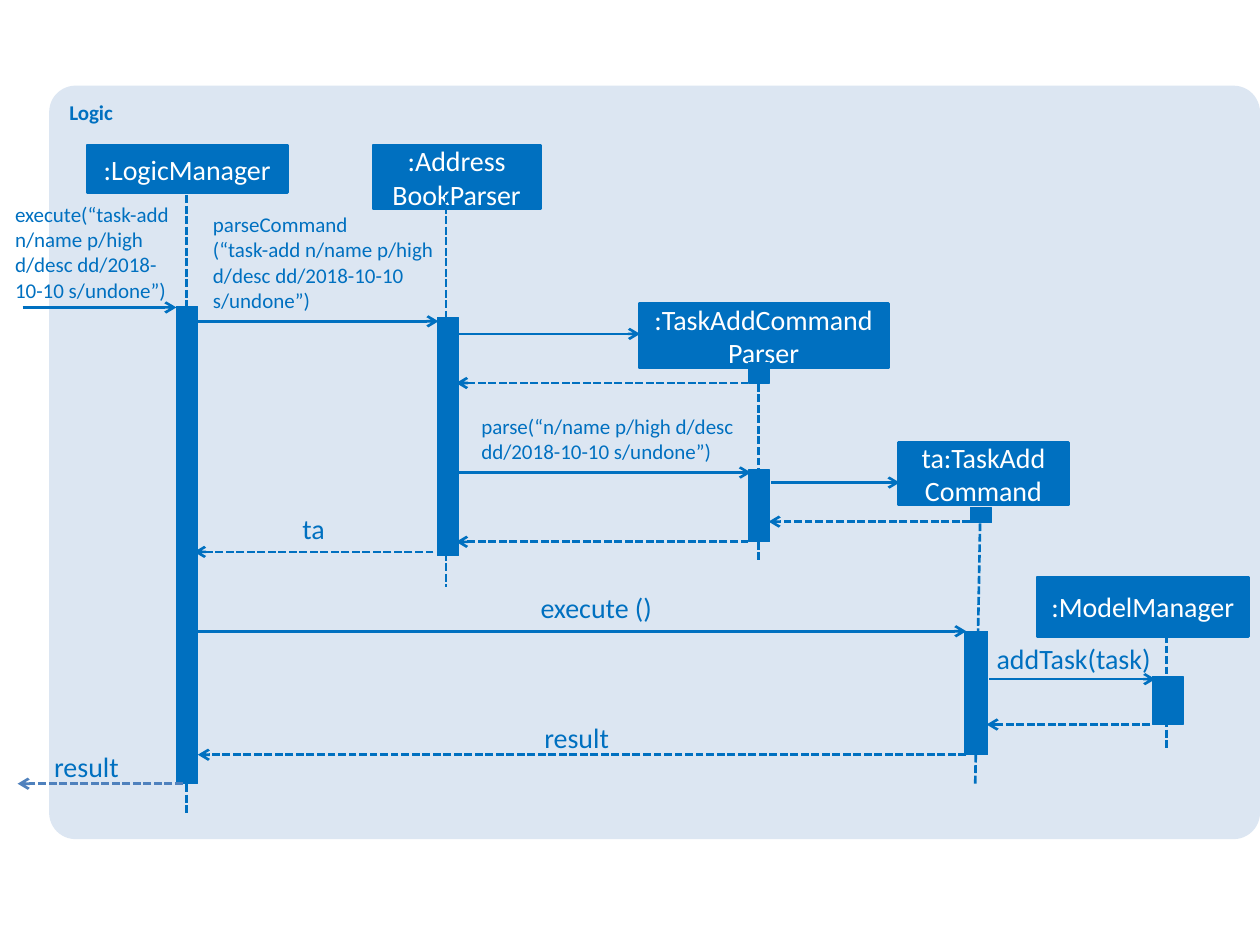
from pptx import Presentation
from pptx.dml.color import RGBColor
from pptx.enum.dml import MSO_LINE
from pptx.enum.shapes import MSO_CONNECTOR, MSO_SHAPE
from pptx.enum.text import MSO_ANCHOR, MSO_AUTO_SIZE, PP_ALIGN
from pptx.oxml.ns import qn
from pptx.util import Inches, Pt
from lxml import etree

RECT, ROUND = MSO_SHAPE.RECTANGLE, MSO_SHAPE.ROUNDED_RECTANGLE
STRAIGHT, DASH = MSO_CONNECTOR.STRAIGHT, MSO_LINE.SQUARE_DOT
TOP, MIDDLE = MSO_ANCHOR.TOP, MSO_ANCHOR.MIDDLE
LEFT, CENTER = PP_ALIGN.LEFT, PP_ALIGN.CENTER
GROW = MSO_AUTO_SIZE.SHAPE_TO_FIT_TEXT

BLUE, PALE, WHITE, STEEL = "0070C0", "DCE6F2", "FFFFFF", "4F81BD"
BAR = 0.17

# text, left, top, width, height; "\v" breaks a line, "\n" a paragraph
HEADS = [
    (":LogicManager", 0.69, 1.15, 1.59, 0.38),
    (":Address\nBookParser", 2.96, 1.15, 1.33, 0.51),
    (":TaskAddCommandParser", 5.07, 2.41, 1.98, 0.51),
    ("ta:TaskAdd\vCommand", 7.13, 3.51, 1.35, 0.5),
    (":ModelManager", 8.23, 4.58, 1.68, 0.47),
]
# x and y of the start, x and y of the end
LIVES = [
    (1.48, 1.55, 1.48, 6.47),
    (3.54, 1.55, 3.54, 4.66),
    (6.02, 2.88, 6.02, 4.46),
    (7.78, 4.07, 7.74, 6.23),
    (9.26, 5.04, 9.26, 5.95),
]
# left, top, width, height
BARS = [
    (1.4, 2.43, BAR, 3.79),
    (3.47, 2.52, BAR, 1.89),
    (5.94, 2.88, BAR, 0.16),
    (5.94, 3.73, BAR, 0.57),
    (7.7, 4.03, BAR, 0.12),
    (7.66, 5.01, 0.18, 0.98),
    (9.15, 5.37, 0.24, 0.38),
]
# start x, end x, y
CALLS = [
    (0.18, 1.4, 2.44),
    (1.54, 3.48, 2.55),
    (3.62, 5.08, 2.65),
    (3.62, 5.96, 3.75),
    (6.12, 7.14, 3.83),
    (1.57, 7.67, 5.01),
    (7.85, 9.17, 5.39),
]
REPLIES = [
    (5.94, 3.62, 3.04),
    (7.7, 6.1, 4.14),
    (5.94, 3.62, 4.3),
    (3.44, 1.54, 4.38),
    (9.13, 7.83, 5.75),
    (7.67, 1.57, 5.99),
]
# text, size, left, top, width, height
LABELS = [
    ("execute(“task-add n/name p/high d/desc dd/2018-10-10 s/undone”)",
     12, 0.12, 1.6, 1.34, 0.81),
    ("parseCommand\n(“task-add n/name p/high\nd/desc dd/2018-10-10 s/undone”)",
     12, 1.69, 1.68, 1.81, 0.81),
    ("parse(“n/name p/high d/desc dd/2018-10-10 s/undone”)",
     12, 3.82, 3.28, 2.13, 0.4),
    ("ta", 16, 2.4, 4.06, 0.24, 0.27),
    ("execute ()", 16, 4.29, 4.69, 1.02, 0.27),
    ("addTask(task)", 16, 7.91, 5.09, 1.26, 0.27),
    ("result", 16, 4.32, 5.72, 0.68, 0.27),
    ("result", 16, 0.43, 5.95, 0.64, 0.27),
]


def rgb(code):
    return RGBColor.from_string(code)


def write(frame, text, size, color, align=LEFT, bold=False):
    frame.word_wrap = True
    frame.text = text
    for para in frame.paragraphs:
        para.alignment = align
        for run in para.runs:
            font = run.font
            font.name, font.size, font.bold = "Calibri", Pt(size), bold
            font.color.rgb = rgb(color)


def add_box(slide, kind, box, fill, width=0):
    """Add a filled shape; a width above zero gives an outline of that colour."""
    shape = slide.shapes.add_shape(kind, *map(Inches, box))
    shape.shadow.inherit = False
    shape.fill.solid()
    shape.fill.fore_color.rgb = rgb(fill)
    if width:
        shape.line.color.rgb = rgb(fill)
        shape.line.width = Pt(width)
    else:
        shape.line.fill.background()
    return shape


def add_frame(slide):
    frame = add_box(slide, ROUND, (0.39, 0.68, 9.61, 5.98), PALE)
    frame.adjustments[0] = 0.035
    frame.text_frame.vertical_anchor = TOP
    write(frame.text_frame, "Logic", 12, BLUE, bold=True)


def add_head(slide, text, *box):
    head = add_box(slide, RECT, box, BLUE, 1.5)
    head.text_frame.vertical_anchor = MIDDLE
    write(head.text_frame, text, 16, WHITE, CENTER)


def add_line(slide, ends, color=BLUE, dash=False, arrow=False):
    line = slide.shapes.add_connector(STRAIGHT, *map(Inches, ends))
    line.line.color.rgb = rgb(color)
    line.line.width = Pt(1.5)
    if dash:
        line.line.dash_style = DASH
    if arrow:
        etree.SubElement(line.line._get_or_add_ln(), qn("a:tailEnd"), type="arrow")
    etree.SubElement(line._element.spPr, qn("a:effectLst"))


def add_arrow(slide, start, end, y, color=BLUE, dash=False):
    add_line(slide, (start, y, end, y), color, dash, arrow=True)


def add_label(slide, text, size, *box):
    frame = slide.shapes.add_textbox(*map(Inches, box)).text_frame
    frame.margin_left = frame.margin_right = 0
    frame.margin_top = frame.margin_bottom = 0
    write(frame, text, size, BLUE)
    frame.auto_size = GROW


def main():
    deck = Presentation()
    deck.slide_width, deck.slide_height = Inches(10), Inches(7.5)
    slide = deck.slides.add_slide(deck.slide_layouts[6])
    add_frame(slide)
    for head in HEADS:
        add_head(slide, *head)
    for ends in LIVES:
        add_line(slide, ends, dash=True)
    for bar in BARS:
        add_box(slide, RECT, bar, BLUE, 0.75)
    for call in CALLS:
        add_arrow(slide, *call)
    for reply in REPLIES:
        add_arrow(slide, *reply, dash=True)
    add_arrow(slide, 1.45, 0.14, 6.22, STEEL, dash=True)
    for label in LABELS:
        add_label(slide, *label)
    deck.save("out.pptx")


if __name__ == "__main__":
    main()
